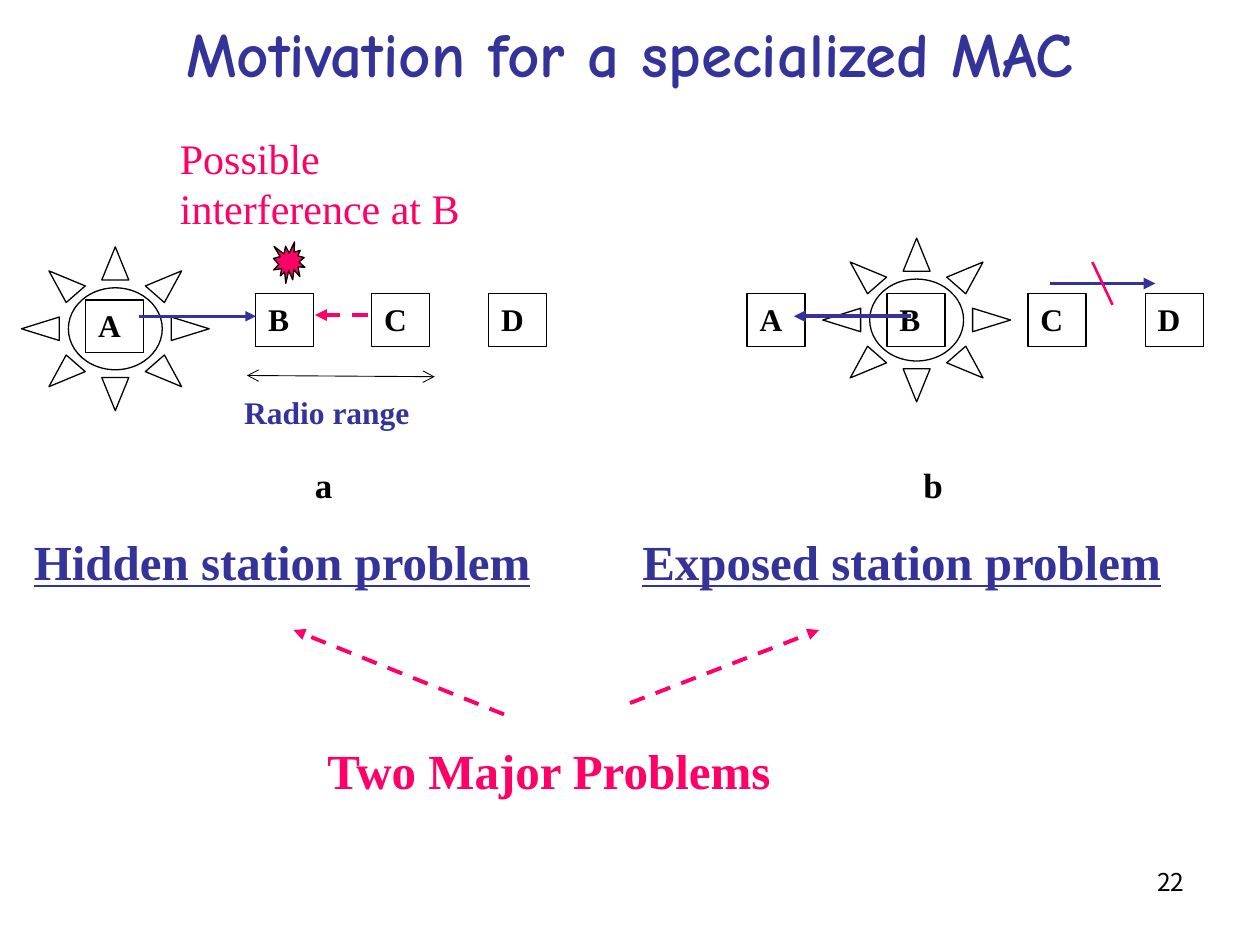
from lxml import etree
from pptx import Presentation
from pptx.dml.color import RGBColor
from pptx.enum.dml import MSO_LINE
from pptx.enum.shapes import MSO_CONNECTOR, MSO_SHAPE
from pptx.enum.text import MSO_ANCHOR, PP_ALIGN
from pptx.oxml.ns import qn
from pptx.util import Inches, Pt

BLACK = RGBColor(0x00, 0x00, 0x00)
WHITE = RGBColor(0xFF, 0xFF, 0xFF)
NAVY = RGBColor(0x33, 0x33, 0x99)
PINK = RGBColor(0xFF, 0x00, 0x66)

RECTANGLE, SUN, BURST = MSO_SHAPE.RECTANGLE, MSO_SHAPE.SUN, MSO_SHAPE.EXPLOSION1
STRAIGHT = MSO_CONNECTOR.STRAIGHT
DASH = MSO_LINE.DASH
LEFT, CENTER, RIGHT = PP_ALIGN.LEFT, PP_ALIGN.CENTER, PP_ALIGN.RIGHT
TOP, MIDDLE = MSO_ANCHOR.TOP, MSO_ANCHOR.MIDDLE

STATION_SIZE = (0.46, 0.42)
SUN_SIZE = (1.49, 1.3)


class SlideBuilder:
    """Holds the text style and the slide being drawn."""

    font = "Times New Roman"

    def __init__(self, slide):
        self.slide = slide

    def fill_text(self, frame, text, size, color, bold=True, underline=False,
                  font=None, align=LEFT, anchor=TOP):
        frame.word_wrap = True
        frame.vertical_anchor = anchor
        paragraph = frame.paragraphs[0]
        paragraph.alignment = align
        run = paragraph.add_run()
        run.text = text
        run.font.name = font or self.font
        run.font.size = Pt(size)
        run.font.bold = bold
        run.font.underline = underline
        run.font.color.rgb = color

    def text(self, box, text, size, color, **style):
        textbox = self.slide.shapes.add_textbox(*map(Inches, box))
        self.fill_text(textbox.text_frame, text, size, color, **style)

    def shape(self, kind, box, fill=None, outlined=True):
        shape = self.slide.shapes.add_shape(kind, *map(Inches, box))
        shape.shadow.inherit = False
        if fill is None:
            shape.fill.background()
        else:
            shape.fill.solid()
            shape.fill.fore_color.rgb = fill
        if outlined:
            shape.line.color.rgb = BLACK
            shape.line.width = Pt(0.75)
        else:
            shape.line.fill.background()
        return shape

    def station(self, name, left, top=2.33):
        box = self.shape(RECTANGLE, (left, top, *STATION_SIZE), WHITE)
        self.fill_text(box.text_frame, name, 18, BLACK)

    def label(self, box, text, size, color):
        panel = self.shape(RECTANGLE, box, WHITE, outlined=False)
        self.fill_text(panel.text_frame, text, size, color)

    def line(self, start, end, color, width, dash=None, head=None, tail=None):
        """Draw a straight line; head sits at its start and tail at its end."""
        line = self.slide.shapes.add_connector(
            STRAIGHT, *map(Inches, (*start, *end)))
        line.line.color.rgb = color
        line.line.width = Pt(width)
        if dash:
            line.line.dash_style = dash
        outline = line.line._get_or_add_ln()
        for tag, arrow in (("a:headEnd", head), ("a:tailEnd", tail)):
            if arrow:
                etree.SubElement(outline, qn(tag), type=arrow)
        etree.SubElement(line._element.spPr, qn("a:effectLst"))


def main():
    deck = Presentation()
    deck.slide_width, deck.slide_height = Inches(10), Inches(7.5)
    page = SlideBuilder(deck.slides.add_slide(deck.slide_layouts[6]))

    page.text((7.17, 6.83, 2.33, 0.52), "22", 14, BLACK, bold=False,
              font="Noto Sans CJK KR", align=RIGHT)
    page.text((0.75, 0, 8.5, 0.83), "Motivation for a specialized MAC", 36, NAVY,
              font="Comic Neue", align=CENTER, anchor=MIDDLE)

    page.station("A", 0.68, 2.38)
    hidden_stations = (("B", 2.03), ("C", 2.95), ("D", 3.88))
    exposed_stations = (("A", 5.93), ("B", 7.04), ("C", 8.16), ("D", 9.09))
    for name, left in hidden_stations + exposed_stations:
        page.station(name, left)
    for left, top in ((0.17, 1.96), (6.53, 1.89)):
        page.shape(SUN, (left, top, *SUN_SIZE))

    page.line((1.96, 2.98), (3.45, 2.99), BLACK, 0.5, head="arrow", tail="arrow")
    page.label((1.84, 3.07, 1.67, 0.43), "Radio range", 18, NAVY)
    page.label((2.4, 3.63, 0.62, 0.5), "a", 20, BLACK)
    page.label((7.23, 3.63, 0.48, 0.47), "b", 20, BLACK)

    page.line((1.1, 2.51), (2.03, 2.51), NAVY, 1.5, tail="triangle")
    page.line((7.23, 2.51), (6.3, 2.51), NAVY, 2.25, tail="triangle")

    page.text((0.17, 4.17, 4.5, 0.57), "Hidden station problem", 28, NAVY,
              underline=True)
    page.text((5, 4.17, 4.33, 0.57), "Exposed station problem", 28, NAVY,
              underline=True)
    page.text((2.5, 5.83, 4, 0.57), "Two Major Problems", 28, PINK)

    for start, end in (((4, 5.67), (2.33, 5)), ((5, 5.58), (6.5, 5)),
                       ((2.92, 2.5), (2.5, 2.5))):
        page.line(start, end, PINK, 2.25, dash=DASH, tail="triangle")
    page.line((8.33, 2.25), (9.17, 2.25), NAVY, 2.25, tail="triangle")
    page.line((8.67, 2.08), (8.83, 2.42), PINK, 1.5)

    page.text((1.33, 1, 2.67, 0.9), "Possible interference at B", 24, PINK,
              bold=False)
    page.shape(BURST, (2.17, 1.92, 0.25, 0.33), PINK)

    deck.save("out.pptx")


if __name__ == "__main__":
    main()
